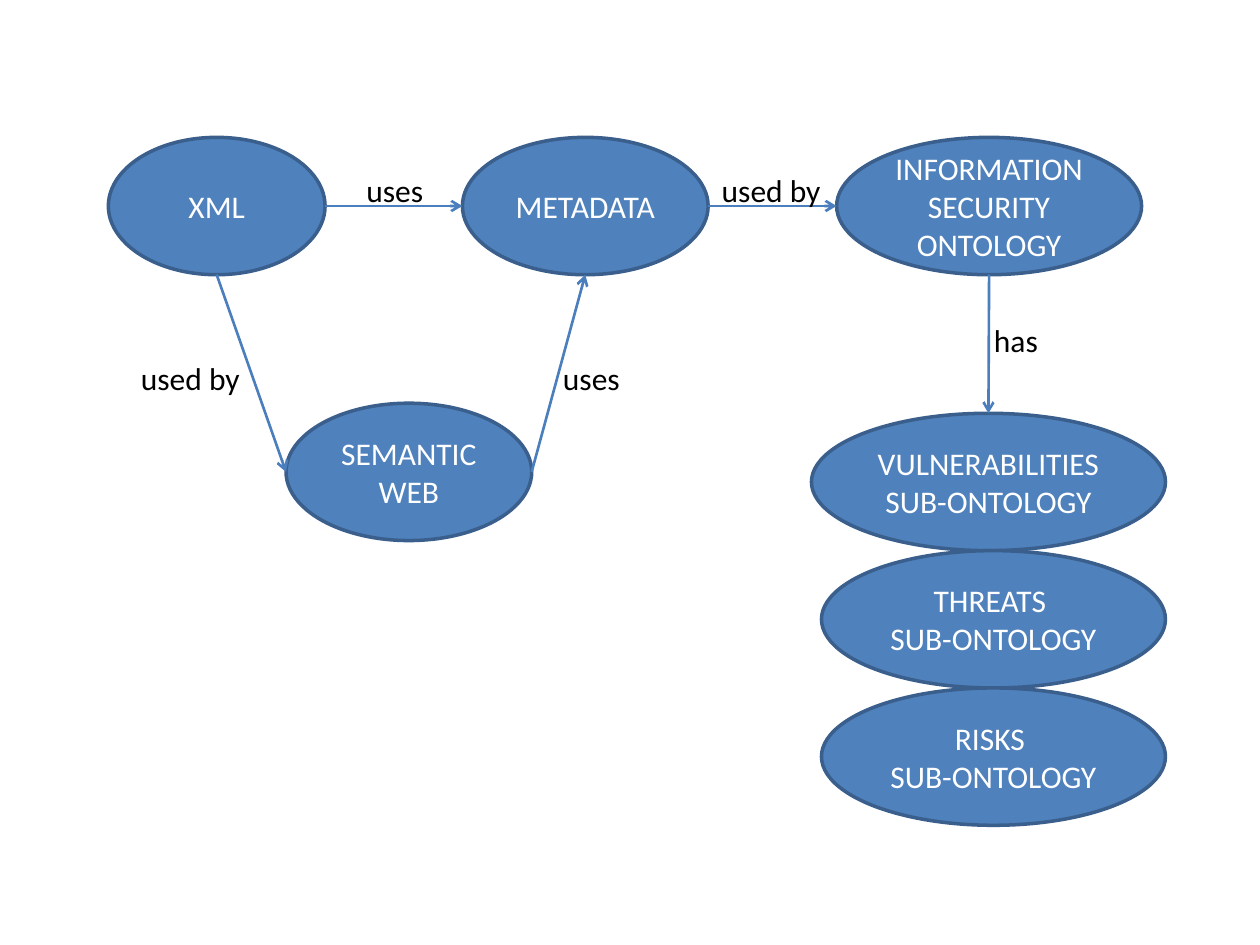
from lxml import etree
from pptx import Presentation
from pptx.dml.color import RGBColor
from pptx.enum import shapes, text
from pptx.oxml.ns import qn
from pptx.util import Inches, Pt

FILL, OUTLINE, ARROW, WHITE, BLACK = "4F81BD", "3A5F8C", "4B7EBC", "FFFFFF", "000000"
NODE_H = 1.09
TOP_Y, WEB_Y, STACK_Y = 1.09, 3.2, 3.28

NODES = {
    "xml": ("XML", 0.86, TOP_Y, 1.72),
    "metadata": ("METADATA", 3.67, TOP_Y, 1.95),
    "web": ("SEMANTIC WEB", 2.27, WEB_Y, 1.95),
    "ontology": ("INFORMATION SECURITY ONTOLOGY", 6.64, TOP_Y, 2.42),
    "vulnerabilities": ("VULNERABILITIES SUB-ONTOLOGY", 6.44, STACK_Y, 2.81),
    "threats": ("THREATS \nSUB-ONTOLOGY", 6.52, STACK_Y + NODE_H, 2.73),
    "risks": ("RISKS \nSUB-ONTOLOGY", 6.52, STACK_Y + 2 * NODE_H, 2.73),
}
ARROWS = [
    ("xml", "right", "metadata", "left"),
    ("xml", "bottom", "web", "left"),
    ("web", "right", "metadata", "bottom"),
    ("metadata", "right", "ontology", "left"),
    ("ontology", "bottom", "vulnerabilities", "top"),
]
LABELS = [
    ("uses", 2.81, 1.31, 0.66),
    ("used by", 1.02, 2.8, 1),
    ("uses", 4.37, 2.8, 0.66),
    ("used by", 5.63, 1.31, 1),
    ("has", 7.79, 2.5, 0.55),
]
SIDES = {"left": (0, 0.5), "right": (1, 0.5), "top": (0.5, 0), "bottom": (0.5, 1)}


def rgb(value):
    return RGBColor.from_string(value)


def set_attrs(obj, **values):
    for name, value in values.items():
        setattr(obj, name, value)


def write(tf, content, color, align):
    tf.text = content
    for p in tf.paragraphs:
        p.alignment = align
        set_attrs(p.runs[0].font, name="Calibri", size=Pt(18))
        p.runs[0].font.color.rgb = rgb(color)


def add_node(slide, content, x, y, w):
    sp = slide.shapes.add_shape(
        shapes.MSO_SHAPE.OVAL, Inches(x), Inches(y), Inches(w), Inches(NODE_H))
    sp.shadow.inherit = False
    sp.fill.solid()
    sp.fill.fore_color.rgb = rgb(FILL)
    sp.line.color.rgb = rgb(OUTLINE)
    sp.line.width = Pt(2)
    set_attrs(sp.text_frame, word_wrap=True, vertical_anchor=text.MSO_ANCHOR.MIDDLE)
    write(sp.text_frame, content, WHITE, text.PP_ALIGN.CENTER)
    return sp


def side_point(sp, side):
    fx, fy = SIDES[side]
    return int(sp.left + fx * sp.width), int(sp.top + fy * sp.height)


def add_arrow(slide, start, end):
    cx = slide.shapes.add_connector(shapes.MSO_CONNECTOR.STRAIGHT, *start, *end)
    set_attrs(cx.line, width=Pt(1.5))
    cx.line.color.rgb = rgb(ARROW)
    etree.SubElement(cx.line._get_or_add_ln(), qn("a:tailEnd"), type="arrow")
    etree.SubElement(cx._element.spPr, qn("a:effectLst"))


def add_label(slide, content, x, y, w):
    tb = slide.shapes.add_textbox(Inches(x), Inches(y), Inches(w), Inches(0.4))
    set_attrs(tb.text_frame, word_wrap=False,
              auto_size=text.MSO_AUTO_SIZE.SHAPE_TO_FIT_TEXT)
    write(tb.text_frame, content, BLACK, text.PP_ALIGN.LEFT)


def main():
    prs = Presentation()
    set_attrs(prs, slide_width=Inches(10), slide_height=Inches(7.5))
    slide = prs.slides.add_slide(prs.slide_layouts[6])
    nodes = {key: add_node(slide, *node) for key, node in NODES.items()}
    for source, out_side, target, in_side in ARROWS:
        add_arrow(slide, side_point(nodes[source], out_side),
                  side_point(nodes[target], in_side))
    for label in LABELS:
        add_label(slide, *label)
    prs.save("out.pptx")


main()
